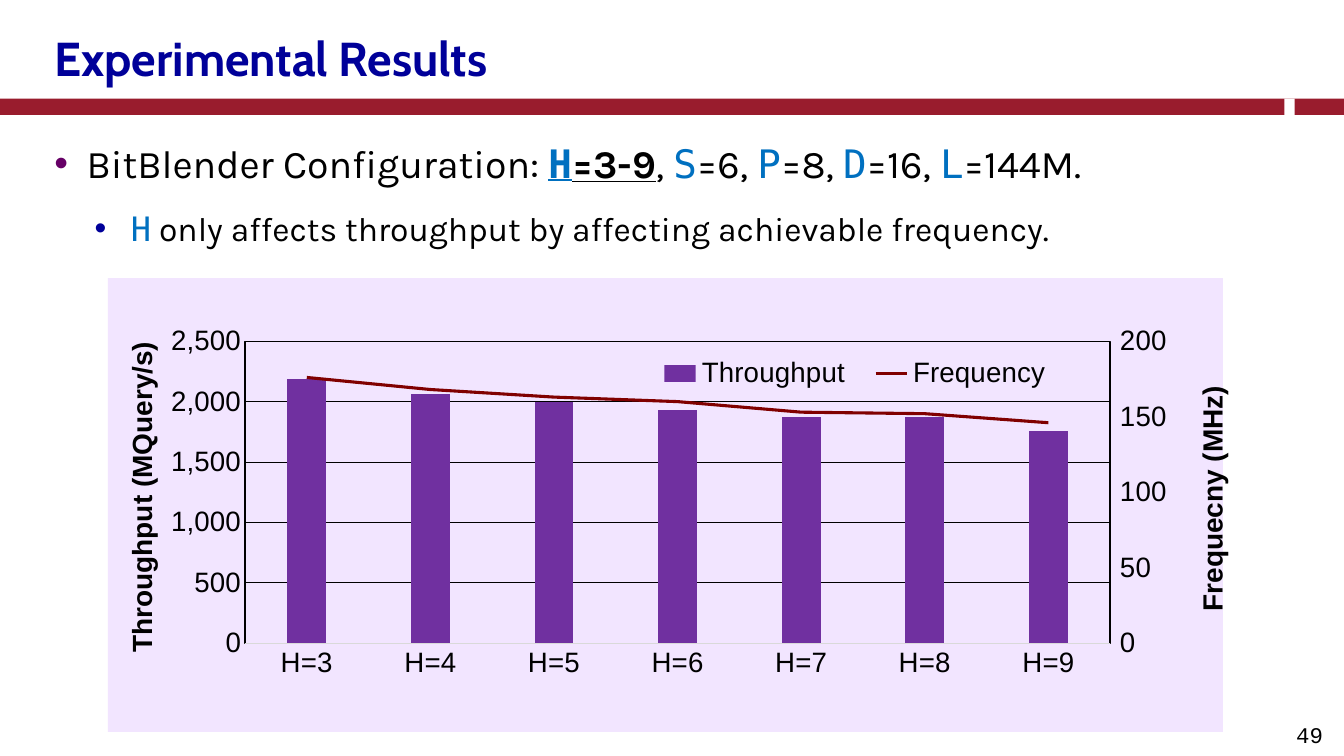
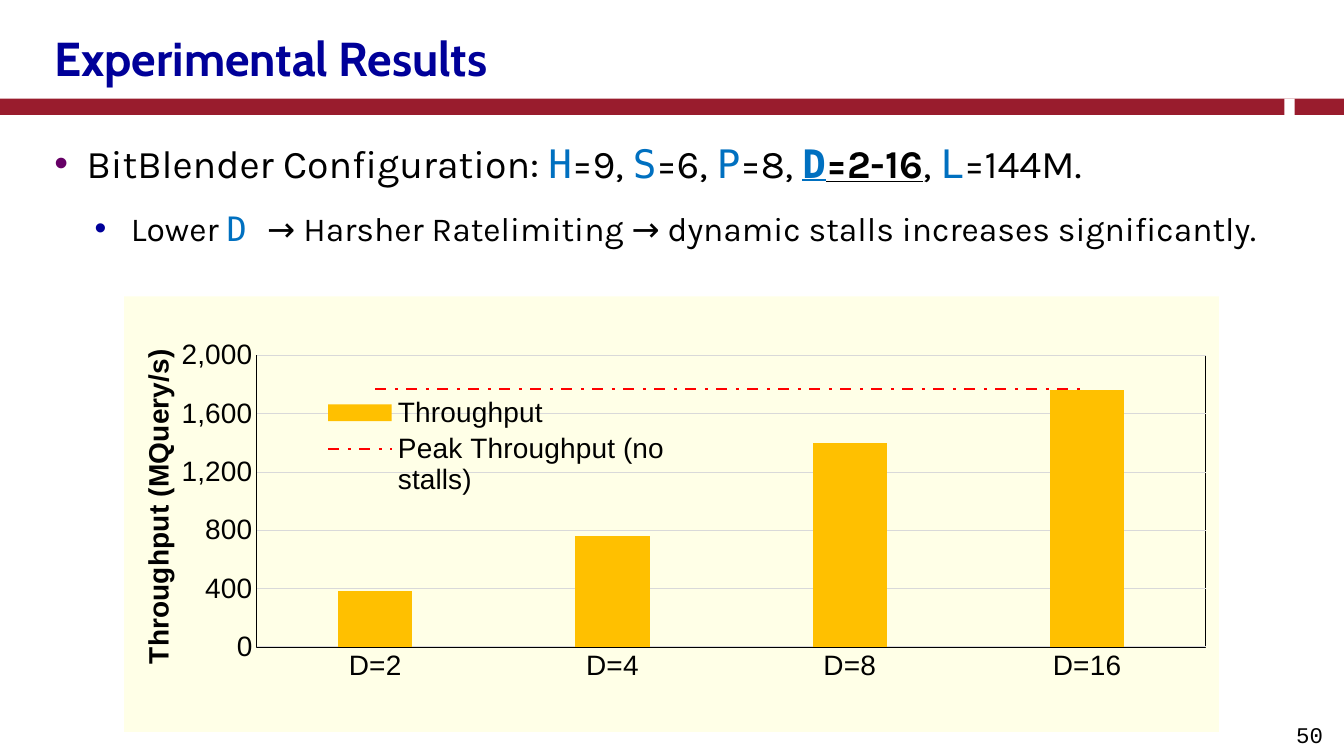
from lxml import etree
from pptx import Presentation
from pptx.chart.axis import ValueAxis
from pptx.chart.data import CategoryChartData
from pptx.dml.color import RGBColor
from pptx.enum.chart import XL_CHART_TYPE as CT, XL_LEGEND_POSITION as LP
from pptx.enum.chart import XL_MARKER_STYLE as MARKER, XL_TICK_MARK as TICK
from pptx.enum.dml import MSO_LINE
from pptx.enum.shapes import MSO_SHAPE
from pptx.enum.text import MSO_ANCHOR, PP_ALIGN
from pptx.oxml import parse_xml
from pptx.oxml.ns import nsdecls, qn
from pptx.util import Pt

PX = 9144  # EMU per px, 100 px to the inch

BLACK, WHITE = RGBColor(0, 0, 0), RGBColor(255, 255, 255)
NAVY = RGBColor(0x00, 0x00, 0x99)
PLUM = RGBColor(0x66, 0x00, 0x66)
CRIMSON = RGBColor(0x99, 0x1C, 0x2D)
BLUE = RGBColor(0x00, 0x70, 0xC0)
GRAY = RGBColor(0xD9, 0xD9, 0xD9)
PURPLE, MAROON = RGBColor(0x70, 0x30, 0xA0), RGBColor(0x80, 0, 0)
AMBER, RED = RGBColor(0xFF, 0xC0, 0), RGBColor(0xFF, 0, 0)
LILAC, CREAM = RGBColor(0xF2, 0xE5, 0xFF), RGBColor(0xFF, 0xFF, 0xE7)

TITLE_FONT, BODY_FONT, PARAM_FONT = "Cabin", "Karla", "DejaVu Sans Mono"
CHART_FONT, NUMBER_FONT = "Arial", "Courier New"

# Content: "layout" values are fractions of the chart
SLIDES = [
    {
        "title": "Experimental Results", "number": "49",
        "params": {"H": "3-9", "S": "6", "P": "8", "D": "16", "L": "144M"},
        "varied": "H",
        "remark": [("H", True),
                   (" only affects throughput by affecting achievable frequency.", False)],
        "chart": {
            "box": (107, 276, 1120, 450), "fill": LILAC, "grid": BLACK, "overlap": -27,
            "cats": [f"H={h}" for h in range(3, 10)],
            "bars": ("Throughput", [2190, 2060, 2000, 1930, 1870, 1870, 1760], PURPLE),
            "line": ("Frequency", [176, 168, 163, 160, 153, 152, 146], MAROON),
            "line_style": (2.25, MSO_LINE.SOLID),
            "plot_layout": (0.123, 0.139, 0.776, 0.666),
            "left": ("Throughput (MQuery/s)", 2500, 500, (0.01, 0.12)),
            "right": ("Frequecny (MHz)", 200, 50, (0.97, 0.22)),
            "legend": (LP.BOTTOM, (0.48, 0.17, 0.38, 0.08)),
        },
    },
    {
        "title": "Experimental Results", "number": "50",
        "params": {"H": "9", "S": "6", "P": "8", "D": "2-16", "L": "144M"},
        "varied": "D",
        "remark": [("Lower ", False), ("D ", True),
                   ("→ Harsher Ratelimiting → dynamic stalls increases significantly.", False)],
        "chart": {
            "box": (123, 294, 1086, 432), "fill": CREAM, "grid": GRAY, "overlap": 0,
            "cats": [f"D={d}" for d in (2, 4, 8, 16)],
            "bars": ("Throughput", [380, 760, 1400, 1760], AMBER),
            "line": ("Peak Throughput (no stalls)", [1770] * 4, RED),
            "line_style": (2, MSO_LINE.DASH_DOT),
            "plot_layout": (0.121, 0.136, 0.867, 0.669),
            "left": ("Throughput (MQuery/s)", 2000, 400, (0.01, 0.11)),
            "right": None,
            "legend": (LP.RIGHT, (0.17, 0.22, 0.34, 0.25)),
        },
    },
]


def place(shape, *box):
    shape.left, shape.top, shape.width, shape.height = (v * PX for v in box)


def set_font(font, name, size, color=BLACK, bold=False):
    font.name, font.size, font.bold = name, Pt(size), bold
    font.color.rgb = color


# Shared slide frame
def add_band(slide, x, width, color):
    sp = slide.shapes.add_shape(MSO_SHAPE.RECTANGLE, x * PX, 98 * PX, width * PX, 16 * PX)
    sp.shadow.inherit = False
    sp.fill.solid()
    sp.fill.fore_color.rgb = color
    sp.line.fill.background()


def add_frame(slide, title, number):
    add_band(slide, 0, 1333, CRIMSON)
    add_band(slide, 1274, 10, WHITE)

    sp = slide.shapes.title
    place(sp, 44, 24, 1215, 74)
    tf = sp.text_frame
    tf.text = title
    tf.vertical_anchor = MSO_ANCHOR.MIDDLE
    p = tf.paragraphs[0]
    p.alignment, p.line_spacing = PP_ALIGN.LEFT, 0.9
    set_font(p.runs[0].font, TITLE_FONT, 34, NAVY, True)

    tf = slide.shapes.add_textbox(1044 * PX, 708 * PX, 278 * PX, 42 * PX).text_frame
    tf.word_wrap, tf.vertical_anchor = True, MSO_ANCHOR.MIDDLE
    tf.text = number
    p = tf.paragraphs[0]
    p.alignment = PP_ALIGN.RIGHT
    set_font(p.runs[0].font, NUMBER_FONT, 16)


# Bulleted text
def add_bullet(p, level, margin, hanging, color):
    p.level = level
    pPr = p._p.get_or_add_pPr()
    pPr.set("marL", str(margin * PX))
    pPr.set("indent", str(-hanging * PX))
    clr = etree.SubElement(pPr, qn("a:buClr"))
    etree.SubElement(clr, qn("a:srgbClr"), val=str(color))
    etree.SubElement(pPr, qn("a:buFont"), typeface="Arial")
    etree.SubElement(pPr, qn("a:buChar"), char="•")
    p.line_spacing = Pt(36)


def add_run(p, text, size, is_param=False, varied=False):
    r = p.add_run()
    r.text = text
    name, color = (PARAM_FONT, BLUE) if is_param else (BODY_FONT, BLACK)
    set_font(r.font, name, size, color, varied)
    r.font.underline = varied


def add_body(slide, params, varied, remark):
    tf = slide.shapes.add_textbox(44 * PX, 130 * PX, 1215 * PX, 596 * PX).text_frame
    tf.word_wrap = True
    p = tf.paragraphs[0]
    add_bullet(p, 0, 32, 32, PLUM)
    add_run(p, "BitBlender Configuration: ", 28)
    last = list(params)[-1]
    for name, value in params.items():
        add_run(p, name, 28, True, name == varied)
        add_run(p, f"={value}", 28, False, name == varied)
        add_run(p, "." if name == last else ", ", 28)

    p = tf.add_paragraph()
    add_bullet(p, 1, 76, 36, NAVY)
    p.space_before = Pt(8)
    for text, is_param in remark:
        add_run(p, text, 24, is_param)


# Chart helpers
def set_layout(element, fractions, inner=False):
    old = element.find(qn("c:layout"))
    if old is not None:
        element.remove(old)
    layout = etree.Element(qn("c:layout"))
    manual = etree.SubElement(layout, qn("c:manualLayout"))
    if inner:
        etree.SubElement(manual, qn("c:layoutTarget"), val="inner")
    for key in "xy":
        etree.SubElement(manual, qn(f"c:{key}Mode"), val="edge")
    for key, value in zip("xywh", fractions):
        etree.SubElement(manual, qn(f"c:{key}"), val=str(value))
    overlay = element.find(qn("c:overlay"))
    if overlay is None:
        element.insert(0, layout)
    else:
        overlay.addprevious(layout)


def format_value_axis(axis, title, top, step, position):
    axis.minimum_scale, axis.maximum_scale, axis.major_unit = 0, top, step
    axis.major_tick_mark = TICK.NONE
    axis.format.line.fill.background()
    labels = axis.tick_labels
    labels.number_format, labels.number_format_is_linked = "#,##0", False
    set_font(labels.font, CHART_FONT, 20)
    tf = axis.axis_title.text_frame
    tf.text = title
    set_font(tf.paragraphs[0].runs[0].font, CHART_FONT, 20, bold=True)
    tf._txBody.bodyPr.set("rot", "-5400000")
    set_layout(axis.axis_title._element, position)


def add_right_axis(plot_area):
    cat_ax = parse_xml(
        f'<c:catAx {nsdecls("c")}><c:axId val="3001"/>'
        '<c:scaling><c:orientation val="minMax"/></c:scaling><c:delete val="1"/>'
        '<c:axPos val="b"/><c:crossAx val="3002"/><c:crosses val="autoZero"/></c:catAx>')
    val_ax = parse_xml(
        f'<c:valAx {nsdecls("c", "a")}><c:axId val="3002"/>'
        '<c:scaling><c:orientation val="minMax"/></c:scaling><c:delete val="0"/>'
        '<c:axPos val="r"/><c:majorTickMark val="out"/><c:tickLblPos val="nextTo"/>'
        '<c:crossAx val="3001"/><c:crosses val="max"/></c:valAx>')
    plot_area.findall(qn("c:valAx"))[-1].addnext(val_ax)
    val_ax.addnext(cat_ax)
    return ValueAxis(val_ax)


def move_to_line(plot_area, secondary):
    """Turn the second column series into a line plot."""
    bar = plot_area.find(qn("c:barChart"))
    ser = bar.findall(qn("c:ser"))[1]
    ids = ["3001", "3002"] if secondary else [a.get("val") for a in bar.findall(qn("c:axId"))]
    line = parse_xml(
        f'<c:lineChart {nsdecls("c")}><c:grouping val="standard"/><c:varyColors val="0"/>'
        f'<c:marker val="1"/><c:axId val="{ids[0]}"/><c:axId val="{ids[1]}"/></c:lineChart>')
    invert = ser.find(qn("c:invertIfNegative"))
    if invert is not None:
        ser.remove(invert)
    line.find(qn("c:marker")).addprevious(ser)
    bar.addnext(line)


def add_combo_chart(slide, spec):
    data = CategoryChartData()
    data.categories = spec["cats"]
    for name, values, _ in (spec["bars"], spec["line"]):
        data.add_series(name, values)
    box = (v * PX for v in spec["box"])
    chart = slide.shapes.add_chart(CT.COLUMN_CLUSTERED, *box, data).chart
    chart.has_title = False
    set_font(chart.font, CHART_FONT, 20)
    space = chart._chartSpace
    plot_area = space.find(qn("c:chart")).find(qn("c:plotArea"))

    # Series
    move_to_line(plot_area, spec["right"] is not None)
    columns, lines = chart.plots
    columns.gap_width, columns.overlap = 219, spec["overlap"]
    columns.vary_by_categories = False
    fill = columns.series[0].format.fill
    fill.solid()
    fill.fore_color.rgb = spec["bars"][2]
    series = lines.series[0]
    series.smooth, series.marker.style = False, MARKER.NONE
    width, dash = spec["line_style"]
    ln = series.format.line
    ln.color.rgb, ln.width, ln.dash_style = spec["line"][2], Pt(width), dash

    # Axes
    axis = chart.category_axis
    axis.major_tick_mark = TICK.NONE
    axis.format.line.color.rgb, axis.format.line.width = GRAY, Pt(0.75)
    set_font(axis.tick_labels.font, CHART_FONT, 20)
    axis = chart.value_axis
    format_value_axis(axis, *spec["left"])
    grid = axis.major_gridlines.format.line
    grid.color.rgb, grid.width = spec["grid"], Pt(0.75)
    if spec["right"]:
        axis = add_right_axis(plot_area)
        format_value_axis(axis, *spec["right"])
        axis.major_tick_mark = TICK.OUTSIDE

    # Legend, background and plot border
    chart.has_legend = True
    legend = chart.legend
    legend.position, fractions = spec["legend"]
    legend.include_in_layout = True
    set_font(legend.font, CHART_FONT, 20)
    set_layout(legend._element, fractions)
    set_layout(plot_area, spec["plot_layout"], inner=True)
    plot_area.append(parse_xml(
        f'<c:spPr {nsdecls("c", "a")}><a:noFill/><a:ln w="12700"><a:solidFill>'
        f'<a:srgbClr val="{BLACK}"/></a:solidFill></a:ln></c:spPr>'))
    space.find(qn("c:chart")).addnext(parse_xml(
        f'<c:spPr {nsdecls("c", "a")}><a:solidFill><a:srgbClr val="{spec["fill"]}"/>'
        '</a:solidFill><a:ln><a:noFill/></a:ln></c:spPr>'))


def main():
    prs = Presentation()
    prs.slide_width, prs.slide_height = 1333 * PX, 750 * PX
    for spec in SLIDES:
        slide = prs.slides.add_slide(prs.slide_layouts[5])
        add_frame(slide, spec["title"], spec["number"])
        add_body(slide, spec["params"], spec["varied"], spec["remark"])
        add_combo_chart(slide, spec["chart"])
    prs.save("out.pptx")


if __name__ == "__main__":
    main()
